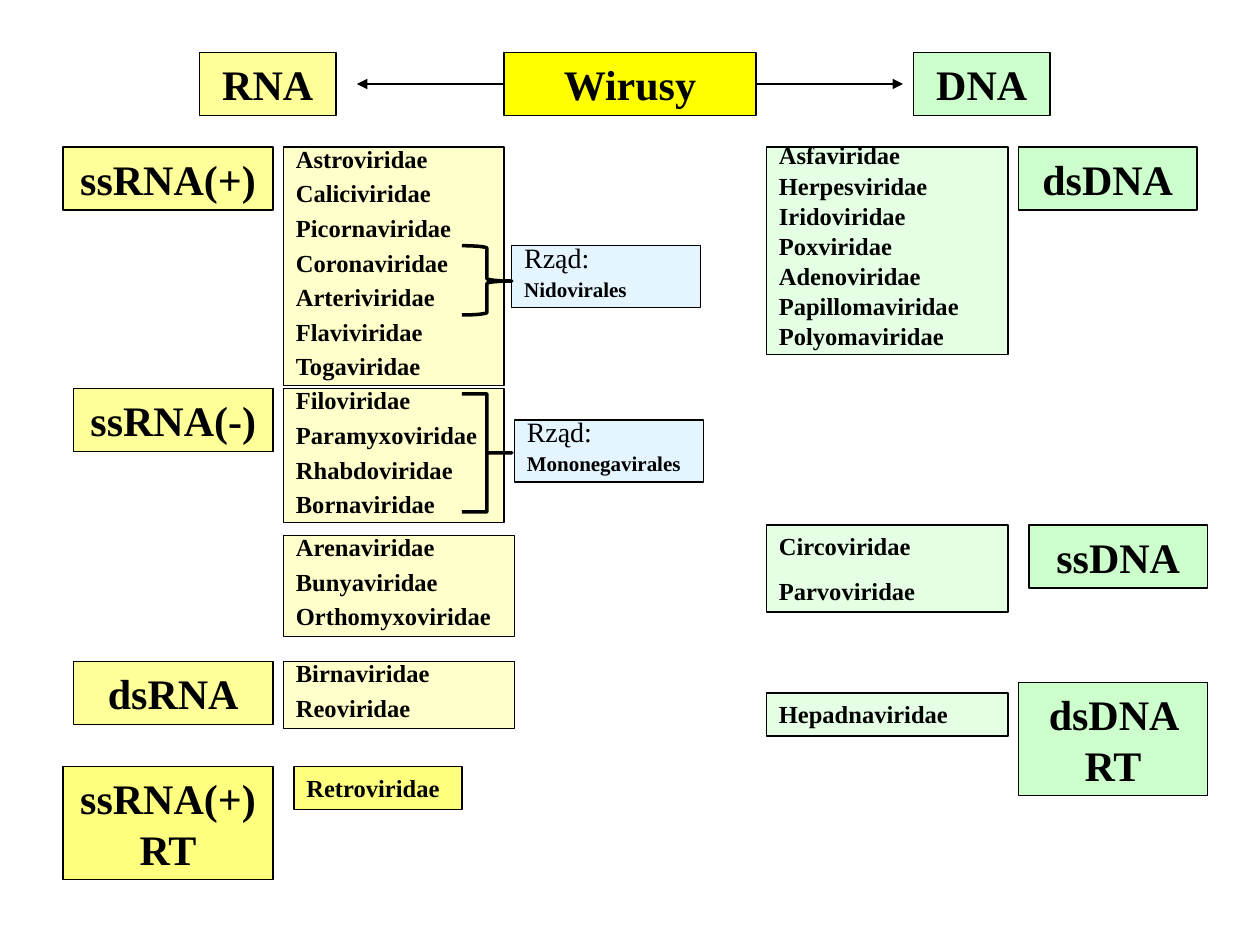
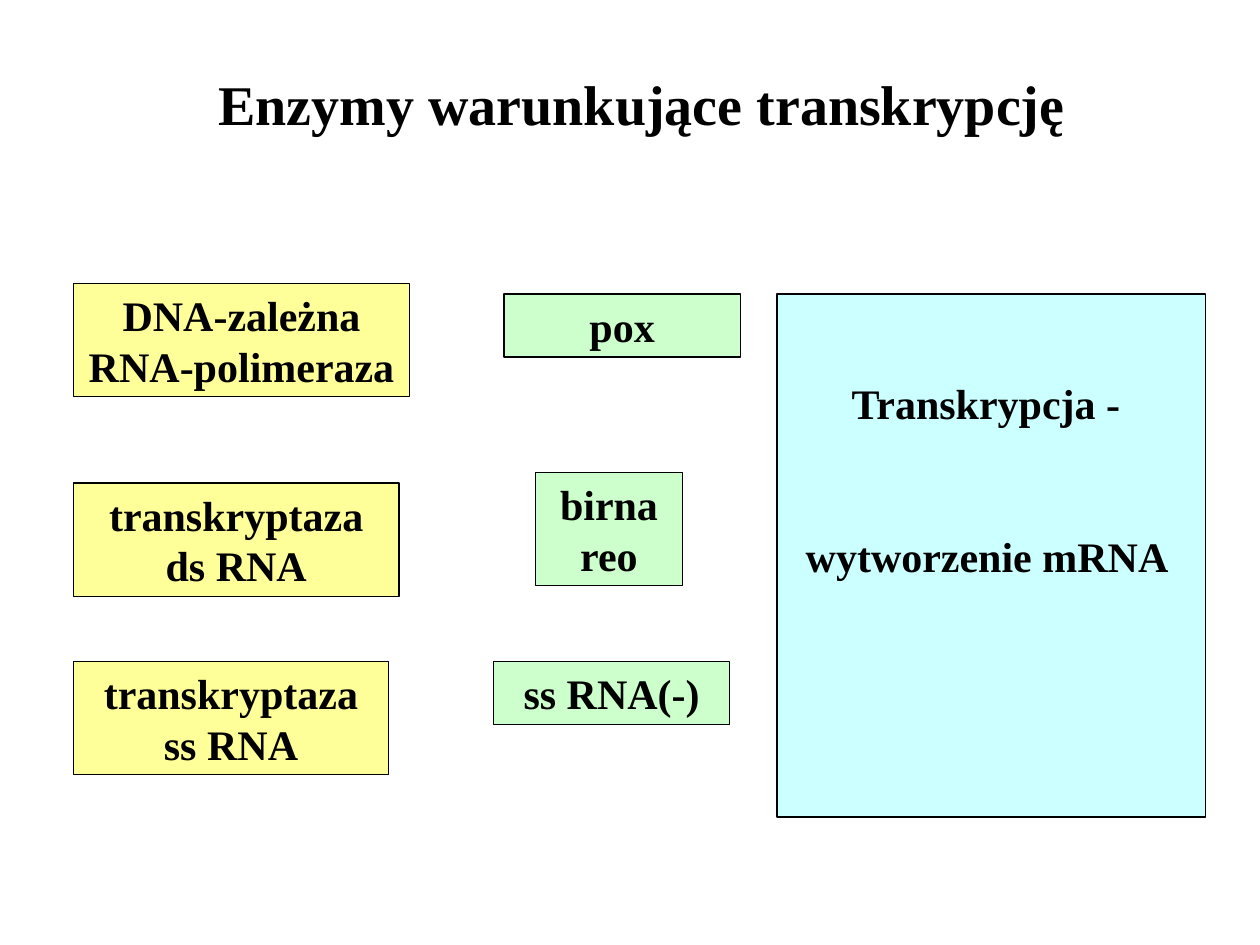
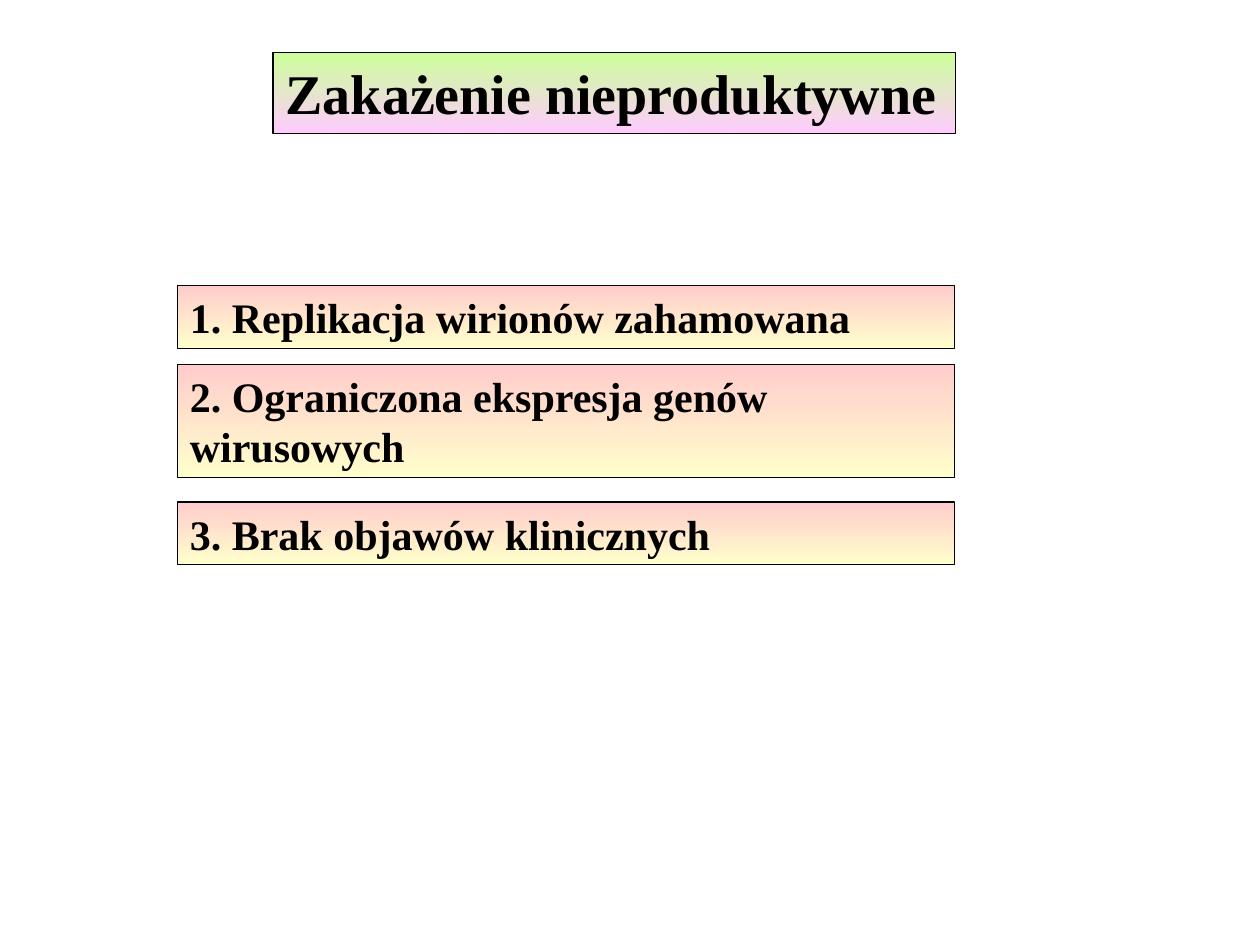
from pptx import Presentation
from pptx import util as u
from pptx.dml.color import RGBColor
from pptx.enum import shapes, text
from pptx.oxml.ns import qn
from lxml import etree

prs = Presentation()
prs.slide_width, prs.slide_height = u.Inches(10), u.Inches(7.5)
COL, ROW = prs.slide_width / 120, prs.slide_height / 90
FONT = "Times New Roman"
BLACK, YELLOW, SAND, MINT, SKY, AQUA = "000000", "FFFF00", "FFFF99", "CCFFCC", "CCECFF", "CCFFFF"
TITLE_GRADIENT, POINT_GRADIENT = ("CCFF99", "FFCCFF"), ("FFCCCC", "FFFFCC")
LEFT, CENTER = text.PP_ALIGN.LEFT, text.PP_ALIGN.CENTER
ONE, TWO = 6, 10.8


def rgb(value):
    return RGBColor.from_string(value)


def box(s, at, lines, fill, size=24, align=CENTER, spacing=None, alpha=None, title=False):
    x, y, w, h = (int(v * unit) for v, unit in zip(at, (COL, ROW, COL, ROW)))
    if title:
        sp = s.shapes.title
        sp.left, sp.top, sp.width, sp.height = x, y, w, h
    else:
        sp = s.shapes.add_shape(shapes.MSO_SHAPE.RECTANGLE, x, y, w, h)
        sp.shadow.inherit = False
    if isinstance(fill, tuple):
        sp.fill.gradient()
        sp.fill.gradient_angle = 270
        for stop, color in zip(sp.fill.gradient_stops, fill):
            stop.color.rgb = rgb(color)
    elif fill:
        sp.fill.solid()
        sp.fill.fore_color.rgb = rgb(fill)
    if fill:
        sp.line.color.rgb = rgb(BLACK)
        sp.line.width = u.Pt(0.75)
    if alpha:
        color = sp._element.spPr.find(qn("a:solidFill"))[0]
        etree.SubElement(color, qn("a:alpha"), val=str(alpha * 1000))
    tf = sp.text_frame
    tf.text = "\n".join(lines)
    tf.word_wrap = True
    tf.auto_size = text.MSO_AUTO_SIZE.NONE
    tf.vertical_anchor = text.MSO_ANCHOR.TOP
    for i, p in enumerate(tf.paragraphs):
        p.alignment = align
        p.space_before = u.Pt(size * 0.63 if i else 0)
        if spacing:
            p.line_spacing = spacing
        p.font.name, p.font.size, p.font.bold = FONT, u.Pt(size), True
        p.font.color.rgb = rgb(BLACK)
    return sp


s1, s2, s3 = (prs.slides.add_slide(prs.slide_layouts[5]) for _ in range(3))

viruses = box(s1, (48, 5, 24, ONE), ["Wirusy"], YELLOW, title=True)
for side, end in ((1, 34), (3, 86)):
    arrow = s1.shapes.add_connector(shapes.MSO_CONNECTOR.STRAIGHT, 0, 0, int(end * COL), int(8 * ROW))
    arrow.begin_connect(viruses, side)
    arrow.line.color.rgb = rgb(BLACK)
    arrow.line.width = u.Pt(0.75)
    etree.SubElement(arrow.line._get_or_add_ln(), qn("a:tailEnd"), type="triangle")
    etree.SubElement(arrow._element.spPr, qn("a:effectLst"))

for x, y, w, h, label, fill, alpha in (
    (19, 5, 13, ONE, "RNA", SAND, None),
    (87, 5, 13, ONE, "DNA", MINT, None),
    (97, 14, 17, ONE, "dsDNA", MINT, None),
    (98, 50, 17, ONE, "ssDNA", MINT, None),
    (97, 65, 18, TWO, "dsDNA RT", MINT, None),
    (6, 14, 20, ONE, "ssRNA(+)", SAND, None),
    (7, 37, 19, ONE, "ssRNA(-)", SAND, None),
    (7, 63, 19, ONE, "dsRNA", SAND, None),
    (6, 73, 20, TWO, "ssRNA(+)RT", YELLOW, 50),
):
    box(s1, (x, y, w, h), [label], fill, alpha=alpha)

for x, y, w, h, spacing, fill, families in (
    (27, 14, 21, 22.7, 0.65, SAND, "Astroviridae Caliciviridae Picornaviridae Coronaviridae "
     "Arteriviridae Flaviviridae Togaviridae"),
    (27, 37, 21, 12.8, 0.65, SAND, "Filoviridae Paramyxoviridae Rhabdoviridae Bornaviridae"),
    (27, 51, 22, 9.6, 0.65, SAND, "Arenaviridae Bunyaviridae Orthomyxoviridae"),
    (27, 63, 22, 6.4, 0.65, SAND, "Birnaviridae Reoviridae"),
    (28, 73, 16, 4.1, None, YELLOW, "Retroviridae"),
    (73, 14, 23, 19.8, 0.5, MINT, "Asfaviridae Herpesviridae Iridoviridae Poxviridae "
     "Adenoviridae Papillomaviridae Polyomaviridae"),
    (73, 50, 23, 8.3, None, MINT, "Circoviridae Parvoviridae"),
    (73, 66, 23, 4.1, None, MINT, "Hepadnaviridae"),
):
    box(s1, (x, y, w, h), families.split(), fill, 14, LEFT, spacing, 50)

for x, y, order, top, height, curve, tip in (
    (49, 40, "Mononegavirales", 37.5, 11.25, 0, 0.5),
    (48.75, 23.4, "Nidovirales", 23.4, 6.6, 0.05, 0.51),
):
    sp = box(s1, (x, y, 18, 5.9), ["Rząd:", order], SKY, 12, LEFT, 0.6, 50)
    heading = sp.text_frame.paragraphs[0]
    heading.font.size, heading.font.bold = u.Pt(16), False
    brace = s1.shapes.add_shape(shapes.MSO_SHAPE.RIGHT_BRACE, int(44 * COL), int(top * ROW),
                                int(4.75 * COL), int(height * ROW))
    brace.adjustments[0], brace.adjustments[1] = curve, tip
    brace.shadow.inherit = False
    brace.fill.background()
    brace.line.color.rgb = rgb(BLACK)
    brace.line.width = u.Pt(2)

box(s2, (8, 6, 106.3, 7.7), ["Enzymy warunkujące transkrypcję"], None, 32, title=True)
for x, y, w, h, label, fill in (
    (7, 27, 32, TWO, "DNA-zależna RNA-polimeraza", SAND),
    (7, 46, 31, TWO, "transkryptaza ds RNA", SAND),
    (7, 63, 30, TWO, "transkryptaza ss RNA", SAND),
    (48, 28, 22.5, ONE, "pox", MINT),
    (51, 45, 14, TWO, "birna reo", MINT),
    (47, 63, 22.5, ONE, "ss RNA(-)", MINT),
):
    box(s2, (x, y, w, h), [label], fill)
result = box(s2, (74, 28, 40.8, 49.8), ["Transkrypcja - ", "wytworzenie mRNA "], AQUA)
result.text_frame.margin_top = u.Inches(0.66)
result.text_frame.paragraphs[1].space_before = u.Pt(59)

box(s3, (26, 5, 65, 7.7), ["Zakażenie nieproduktywne"], TITLE_GRADIENT, 32, LEFT, title=True)
for y, h, point in (
    (27.2, ONE, "1. Replikacja wirionów zahamowana"),
    (34.7, TWO, "2. Ograniczona ekspresja genów wirusowych"),
    (47.8, ONE, "3. Brak objawów klinicznych"),
):
    box(s3, (16.9, y, 74, h), [point], POINT_GRADIENT, align=LEFT)

prs.save("out.pptx")
